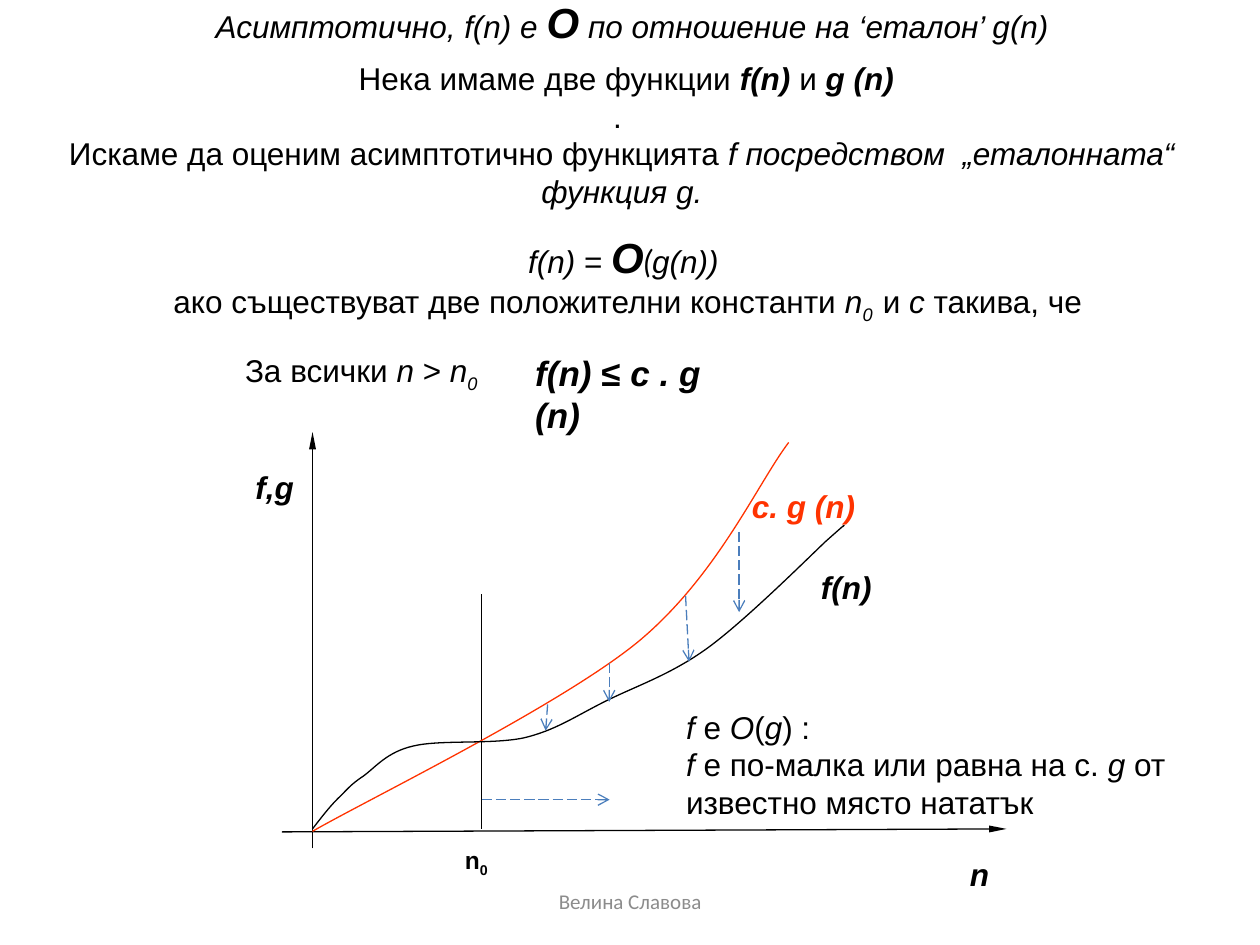
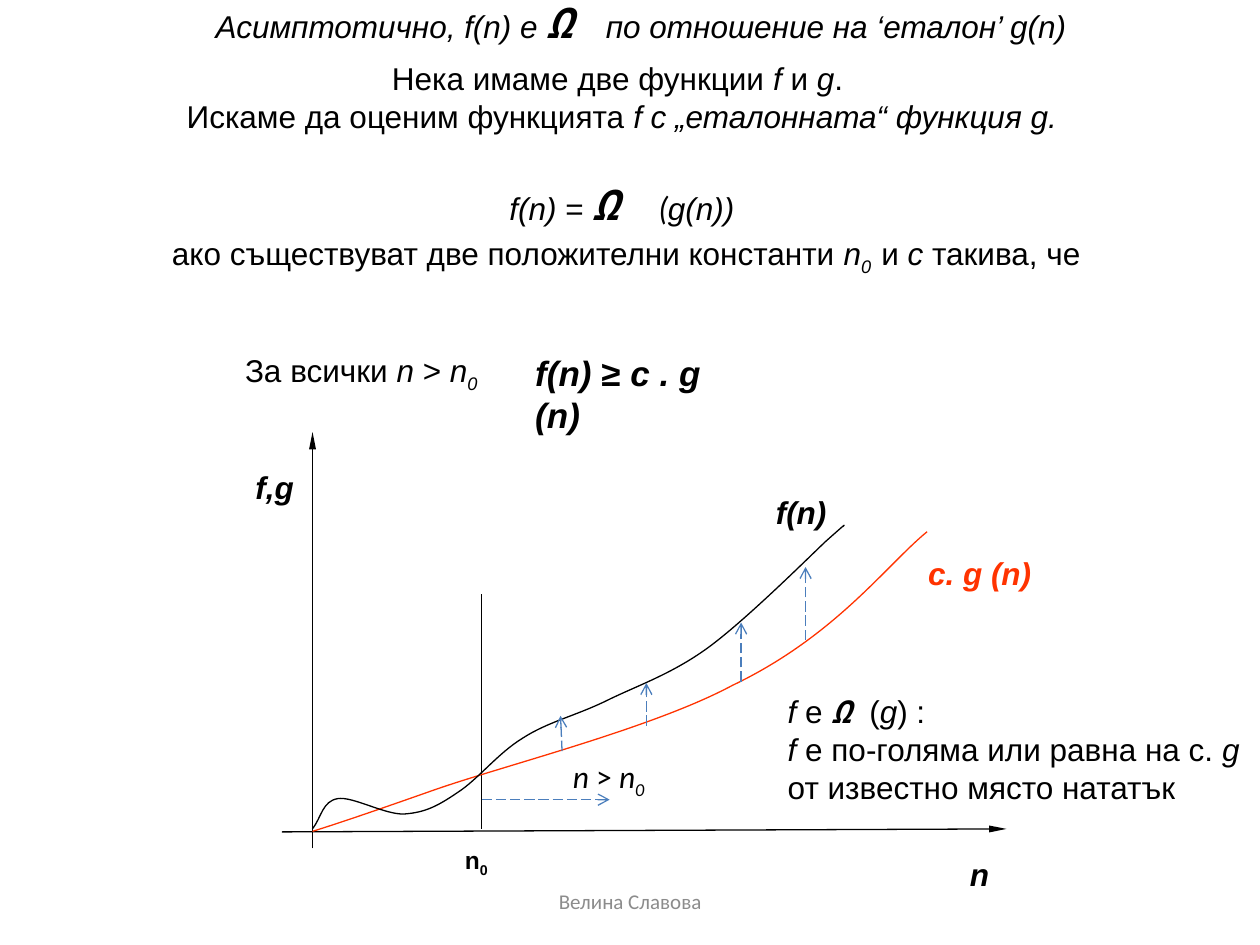
from lxml import etree
from pptx import Presentation
from pptx.dml.color import RGBColor
from pptx.enum.dml import MSO_LINE
from pptx.enum.shapes import MSO_CONNECTOR
from pptx.enum.text import MSO_ANCHOR, MSO_AUTO_SIZE, PP_ALIGN
from pptx.oxml.ns import qn
from pptx.util import Cm, Pt

STRAIGHT = MSO_CONNECTOR.STRAIGHT
LONG_DASH = MSO_LINE.LONG_DASH
LEFT, CENTER = PP_ALIGN.LEFT, PP_ALIGN.CENTER
TOP, MIDDLE = MSO_ANCHOR.TOP, MSO_ANCHOR.MIDDLE
GROW, FIXED = MSO_AUTO_SIZE.SHAPE_TO_FIT_TEXT, MSO_AUTO_SIZE.NONE

COLORS = {"ink": "000000", "bound": "FF3300", "arrow": "4B7EBC", "footer": "8C8C8C"}
BODY, FOOTER, MONO, BRACKET = "Arial", "Calibri", "Noto Sans Mono", "Lato"
LINE_WIDTH = Pt(0.75)
LINE_HEIGHT = 1.02
AXIS_HEAD = {"type": "triangle", "w": "sm", "len": "lg"}
OPEN_HEAD = {"type": "arrow"}


def color(name):
    return RGBColor.from_string(COLORS[name])


def span(text, style="", size=None, font=None):
    """One run; style holds b (bold), i (italic), s (subscript)."""
    return text, style, size, font


def add_text(page, place, paragraphs, size=18, font=BODY, ink="ink",
             align=LEFT, wrap=False, anchor=TOP, fit=GROW):
    box = page.shapes.add_textbox(*(Cm(length) for length in place))
    frame = box.text_frame
    frame.word_wrap = wrap
    frame.auto_size = fit
    frame.vertical_anchor = anchor
    for index, spans in enumerate(paragraphs):
        para = frame.paragraphs[0] if index == 0 else frame.add_paragraph()
        para.alignment = align
        for text, style, own_size, own_font in spans:
            run = para.add_run()
            run.text = text
            run.font.size = Pt(own_size or size)
            run.font.name = own_font or font
            run.font.bold = "b" in style
            run.font.italic = "i" in style
            run.font.color.rgb = color(ink)
            if "s" in style:
                run.font._element.set("baseline", "-25000")


def add_line(page, start, end, ink="ink", head=None, dash=None):
    line = page.shapes.add_connector(STRAIGHT, *(Cm(length) for length in start + end))
    line.line.color.rgb = color(ink)
    line.line.width = LINE_WIDTH
    if dash:
        line.line.dash_style = dash
    if head:
        etree.SubElement(line.line._get_or_add_ln(), qn("a:tailEnd"), head)
    etree.SubElement(line._element.spPr, qn("a:effectLst"))


def add_dashed_arrow(page, start, end):
    add_line(page, start, end, "arrow", OPEN_HEAD, LONG_DASH)


def add_curve(page, points, ink):
    """Draw a chain of cubic curves: a start, then three points for each part."""
    start, *others = [(Cm(x), Cm(y)) for x, y in points]
    builder = page.shapes.build_freeform(*start)
    builder.add_line_segments(others, close=False)
    curve = builder.convert_to_shape()
    # Join each three straight segments into one cubic curve
    outline = next(curve._element.iter(qn("a:path")))
    segments = outline.findall(qn("a:lnTo"))
    for first in range(0, len(segments), 3):
        cubic = etree.SubElement(outline, qn("a:cubicBezTo"))
        for segment in segments[first:first + 3]:
            cubic.append(segment[0])
            outline.remove(segment)
    curve.shadow.inherit = False
    curve.fill.background()
    curve.line.color.rgb = color(ink)
    curve.line.width = LINE_WIDTH


# Curves, in centimetres; both f curves end alike
F_END = [(11.61, 14.43), (12.24, 14.12),
         (12.85, 13.82), (13.54, 13.59), (14.27, 13.06),
         (15.01, 12.52), (16.21, 11.33), (16.64, 10.92),
         (17.09, 10.52), (17.04, 10.57), (16.99, 10.62)]
F_BELOW = [(6.3, 16.71), (6.48, 16.48), (6.63, 16.28), (6.81, 16.1),
           (6.99, 15.93), (7.06, 15.82), (7.32, 15.65),
           (7.57, 15.47), (7.8, 15.16), (8.33, 15.04),
           (8.86, 14.91), (9.88, 15.01), (10.54, 14.88), (11.2, 14.73)] + F_END
F_ABOVE = [(6.3, 16.71), (6.48, 16.48), (6.5, 16.15), (6.81, 16.1),
           (7.11, 16.05), (7.77, 16.43), (8.15, 16.41),
           (8.56, 16.38), (8.81, 16.26), (9.22, 15.98),
           (9.63, 15.72), (10.03, 15.19), (10.54, 14.88), (11.05, 14.55)] + F_END
G_ABOVE = [(6.3, 16.76), (7.39, 16.13), (11.25, 14.25), (12.85, 12.95),
           (14.45, 11.63), (15.27, 9.75), (15.9, 8.92)]
G_BELOW = [(6.3, 16.76), (6.78, 16.61), (7.32, 16.43), (8.74, 15.93),
           (10.13, 15.44), (13.16, 14.68), (14.76, 13.82),
           (16.84, 12.83), (17.88, 11.38), (18.69, 10.72)]

N_ABOVE_N0 = [span("n ", "i"), span("> "), span("n", "i"), span("0", "is")]


def add_heading(page, width, symbol, intro, intro_height):
    add_text(page, (4.1, -0.2, width, 1.27), [
        [span("Асимптотично, f(n) е ", "i"), symbol, span(" ", "bi"),
         span("по отношение на ‘еталон’ g(n)", "i")]])
    add_text(page, (-0.15, 1.06, 25.55, intro_height), intro, align=CENTER, wrap=True)


def add_definition(page, place, symbol, relation):
    add_text(page, place, [
        [span("f(n) ", "i"), span("= "), *symbol,
         span("(", "i", font=BRACKET), span("g(n)) ", "i")],
        [span("ако съществуват две положителни константи "), span("n", "i"),
         span("0  ", "is"), span("и "), span("c ", "i"), span("такива, че")],
    ], align=CENTER, wrap=True)
    add_text(page, (4.69, 6.95, 5.28, LINE_HEIGHT), [[span("За всички "), *N_ABOVE_N0]])
    add_text(page, (10.54, 6.96, 4.93, 1.09), [
        [span("f(n) ", "bi"), span(relation + " ", "b"), span("c . g (n)", "bi")]],
        size=20, wrap=True)


def add_conclusion(page, place, symbol, comparison):
    add_text(page, place, [
        [span("f ", "i"), span("е "), symbol, span("("), span("g", "i"), span(") : ")],
        [span("f ", "i"), span(f"е {comparison} или равна на с. "), span("g ", "i"),
         span("от известно място нататък")],
    ], wrap=True)


def add_graph(page, f_curve, g_curve, f_label, g_label, arrows):
    # Axes and the threshold n0
    add_line(page, (5.68, 16.77), (20.29, 16.71), head=AXIS_HEAD)
    add_line(page, (6.3, 17.1), (6.3, 8.71), head=AXIS_HEAD)
    add_line(page, (9.71, 16.71), (9.71, 11.97))
    # Curves and labels
    add_curve(page, g_curve, "bound")
    add_curve(page, f_curve, "ink")
    labels = [("f,g", (4.9, 9.32), 1.3, "ink"), ("n", (19.3, 17.11), 0.89, "ink"),
              ("f(n)", f_label, 1.56, "ink"), ("c. g (n)", g_label, 2.6, "bound")]
    for text, corner, width, ink in labels:
        add_text(page, (*corner, width, LINE_HEIGHT), [[span(text, "bi")]], ink=ink)
    add_text(page, (9.11, 16.91, 0.99, 0.84), [[span("n", "b"), span("0", "bs")]],
             size=14, align=CENTER)
    # Arrows from n0 onwards and between g and f
    add_dashed_arrow(page, (9.71, 16.12), (12.29, 16.12))
    for start, end in arrows:
        add_dashed_arrow(page, start, end)


def add_footer(page):
    add_text(page, (8.68, 17.65, 8.05, LINE_HEIGHT), [[span("Велина Славова")]], size=12,
             font=FOOTER, ink="footer", align=CENTER, wrap=True, anchor=MIDDLE, fit=FIXED)


def build_big_o(page):
    symbol = span("O", "bi", 24)
    add_graph(page, F_BELOW, G_ABOVE, (16.3, 11.33), (14.91, 9.7), [
        ((11.04, 14.2), (11, 14.73)), ((12.28, 13.36), (12.28, 14.15)),
        ((13.82, 12.01), (13.89, 13.34)), ((14.9, 10.72), (14.9, 12.34))])
    add_heading(page, 17.45, symbol, [
        [span("Нека имаме две функции "), span("f(n) ", "bi"), span("и "),
         span("g (n)", "bi")],
        [span(".  ")],
        [span("Искаме да оценим асимптотично функцията "),
         span("f посредством  „еталонната“ ", "i")],
        [span("функция g. ", "i")]], 3.33)
    add_definition(page, (-0.12, 4.55, 25.55, 2.06), [symbol], "≤")
    add_conclusion(page, (13.58, 14.14, 11.81, 2.57), span("O", "i"), "по-малка")
    add_footer(page)


def build_omega(page):
    add_graph(page, F_ABOVE, G_BELOW, (15.39, 9.82), (18.46, 11.04), [
        ((11.33, 15.14), (11.3, 14.43)), ((13.03, 14.63), (13.03, 13.77)),
        ((14.94, 13.74), (14.94, 12.55)), ((16.24, 12.9), (16.24, 11.43))])
    add_heading(page, 17.68, span("Ω ", "bi", 24, MONO), [
        [span("Нека имаме две функции "), span("f ", "i"), span("и "), span("g", "i"),
         span(".  ")],
        [span("Искаме да оценим функцията "),
         span("f с „еталонната“ функция g. ", "i")]], 1.8)
    add_definition(page, (-0.15, 2.9, 25.55, 2.74),
                   [span("Ω", "bi", 24, MONO), span(" ", "i", 40, MONO)], "≥")
    add_conclusion(page, (15.63, 13.83, 9.78, 2.57), span("Ω ", "bi", font=MONO),
                   "по-голяма")
    add_footer(page)
    add_text(page, (11.3, 15.14, 2.01, LINE_HEIGHT), [N_ABOVE_N0], font=FOOTER)


def main():
    deck = Presentation()
    deck.slide_width, deck.slide_height = Cm(25.4), Cm(19.05)
    blank = deck.slide_layouts[6]
    for build in (build_big_o, build_omega):
        build(deck.slides.add_slide(blank))
    deck.save("out.pptx")


main()
